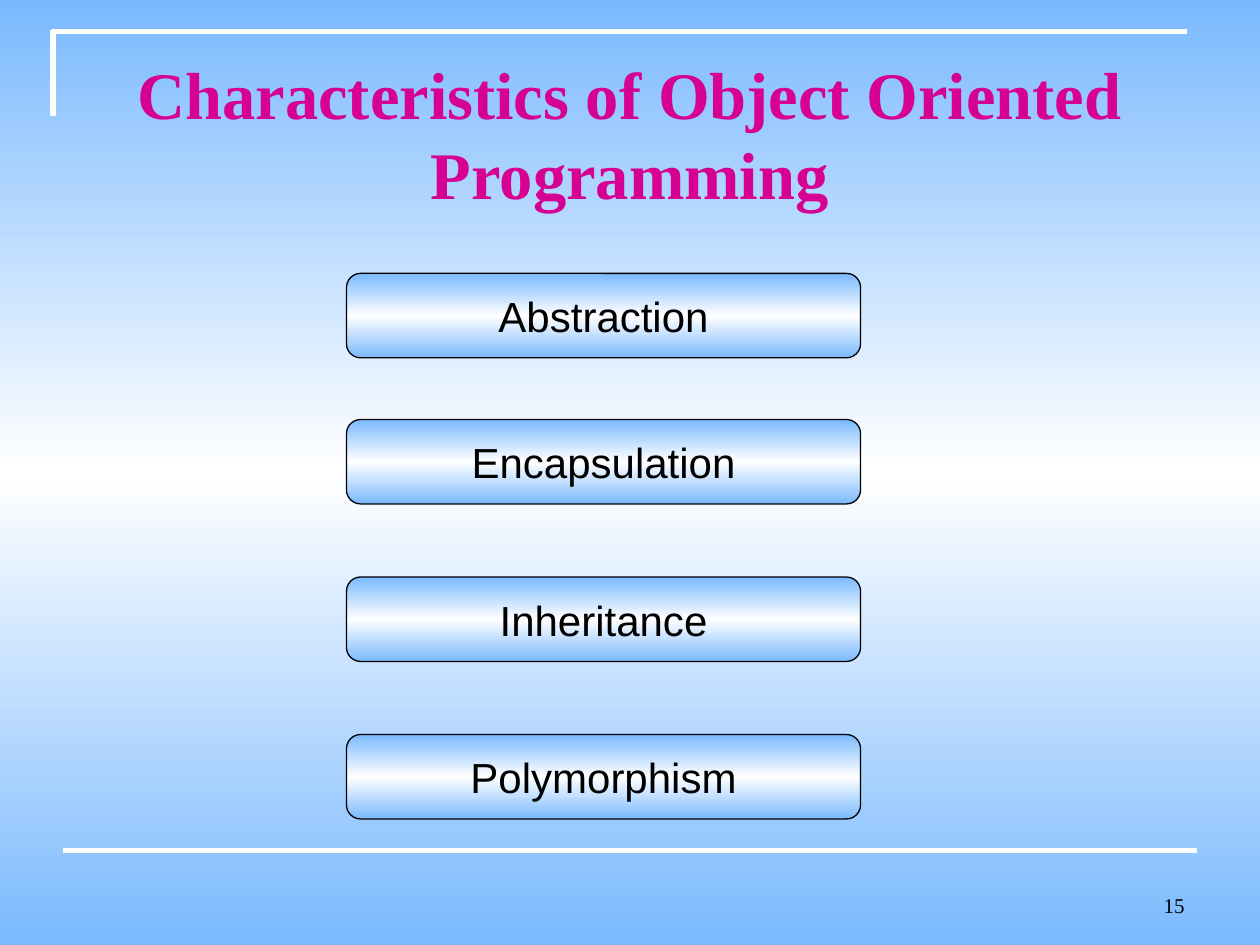
from lxml.etree import SubElement
from pptx import Presentation
from pptx.dml.color import RGBColor
from pptx.enum.shapes import MSO_CONNECTOR, MSO_SHAPE
from pptx.enum.text import MSO_ANCHOR, PP_ALIGN
from pptx.oxml.ns import qn
from pptx.util import Inches, Pt

BLUE = RGBColor(0x7A, 0xB9, 0xFE)
WHITE = RGBColor(0xFF, 0xFF, 0xFF)
BLACK = RGBColor(0x00, 0x00, 0x00)
MAGENTA = RGBColor(0xD6, 0x00, 0x93)
SERIF = "Times New Roman"
SANS = "Arial"
GRADIENT_STOPS = [(0, BLUE), (50, WHITE), (100, BLUE)]
CHARACTERISTICS = [
    ("Abstraction", 2.17),
    ("Encapsulation", 3.33),
    ("Inheritance", 4.58),
    ("Polymorphism", 5.83),
]


def apply_gradient(fill, element):
    fill.gradient()
    fill.gradient_angle = 270
    stop_list = element.find(".//" + qn("a:gsLst"))
    for stop in list(stop_list):
        stop_list.remove(stop)
    for position, color in GRADIENT_STOPS:
        stop = SubElement(stop_list, qn("a:gs"), pos=str(position * 1000))
        SubElement(stop, qn("a:srgbClr"), val=str(color))


def write_text(shape, text, font_name, size, color, alignment, anchor, bold=False):
    frame = shape.text_frame
    frame.vertical_anchor = anchor
    paragraph = frame.paragraphs[0]
    paragraph.alignment = alignment
    run = paragraph.add_run()
    run.text = text
    run.font.name = font_name
    run.font.size = Pt(size)
    run.font.bold = bold
    run.font.color.rgb = color


def style_line(line, color, width):
    line.color.rgb = color
    line.width = Pt(width)


def add_corner(slide):
    builder = slide.shapes.build_freeform(Inches(0.42), Inches(0.92))
    builder.add_line_segments(
        [(Inches(0.42), Inches(0.25)), (Inches(9.42), Inches(0.25))], close=False
    )
    corner = builder.convert_to_shape()
    corner.shadow.inherit = False
    corner.fill.background()
    style_line(corner.line, WHITE, 3)


def add_footer_line(slide):
    connector = slide.shapes.add_connector(
        MSO_CONNECTOR.STRAIGHT, Inches(0.5), Inches(6.75), Inches(9.5), Inches(6.75)
    )
    SubElement(connector._element.spPr, qn("a:effectLst"))
    style_line(connector.line, WHITE, 3)


def add_slide_number(slide, number):
    box = slide.shapes.add_textbox(Inches(7.17), Inches(6.83), Inches(2.33), Inches(0.5))
    box.text_frame.word_wrap = True
    write_text(box, number, SERIF, 12, BLACK, PP_ALIGN.RIGHT, MSO_ANCHOR.BOTTOM)


def set_title(slide, text):
    title = slide.shapes.title
    title.left, title.top = Inches(0.5), Inches(0.3)
    title.width, title.height = Inches(9), Inches(1.25)
    title.text_frame.margin_top = Inches(0.12)
    write_text(title, text, SERIF, 38, MAGENTA, PP_ALIGN.CENTER, MSO_ANCHOR.TOP, bold=True)


def add_characteristic(slide, text, top):
    box = slide.shapes.add_shape(
        MSO_SHAPE.ROUNDED_RECTANGLE, Inches(2.75), Inches(top), Inches(4.08), Inches(0.67)
    )
    box.shadow.inherit = False
    apply_gradient(box.fill, box._element)
    style_line(box.line, BLACK, 0.75)
    box.text_frame.word_wrap = False
    write_text(box, text, SANS, 24, BLACK, PP_ALIGN.CENTER, MSO_ANCHOR.MIDDLE)


def main():
    presentation = Presentation()
    presentation.slide_width = Inches(10)
    presentation.slide_height = Inches(7.5)
    slide = presentation.slides.add_slide(presentation.slide_layouts[5])
    apply_gradient(slide.background.fill, slide._element)
    add_corner(slide)
    add_footer_line(slide)
    add_slide_number(slide, "15")
    set_title(slide, "Characteristics of Object Oriented Programming")
    for text, top in CHARACTERISTICS:
        add_characteristic(slide, text, top)
    presentation.save("out.pptx")


if __name__ == "__main__":
    main()
